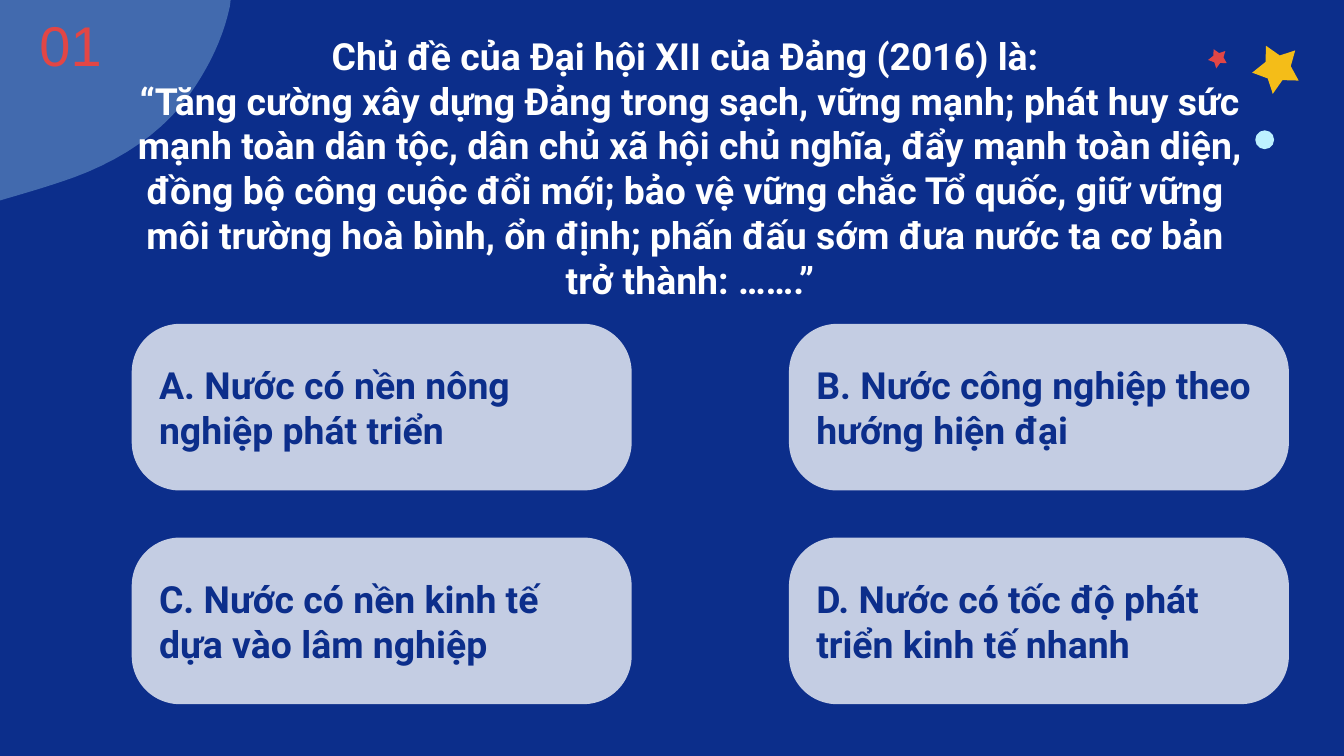
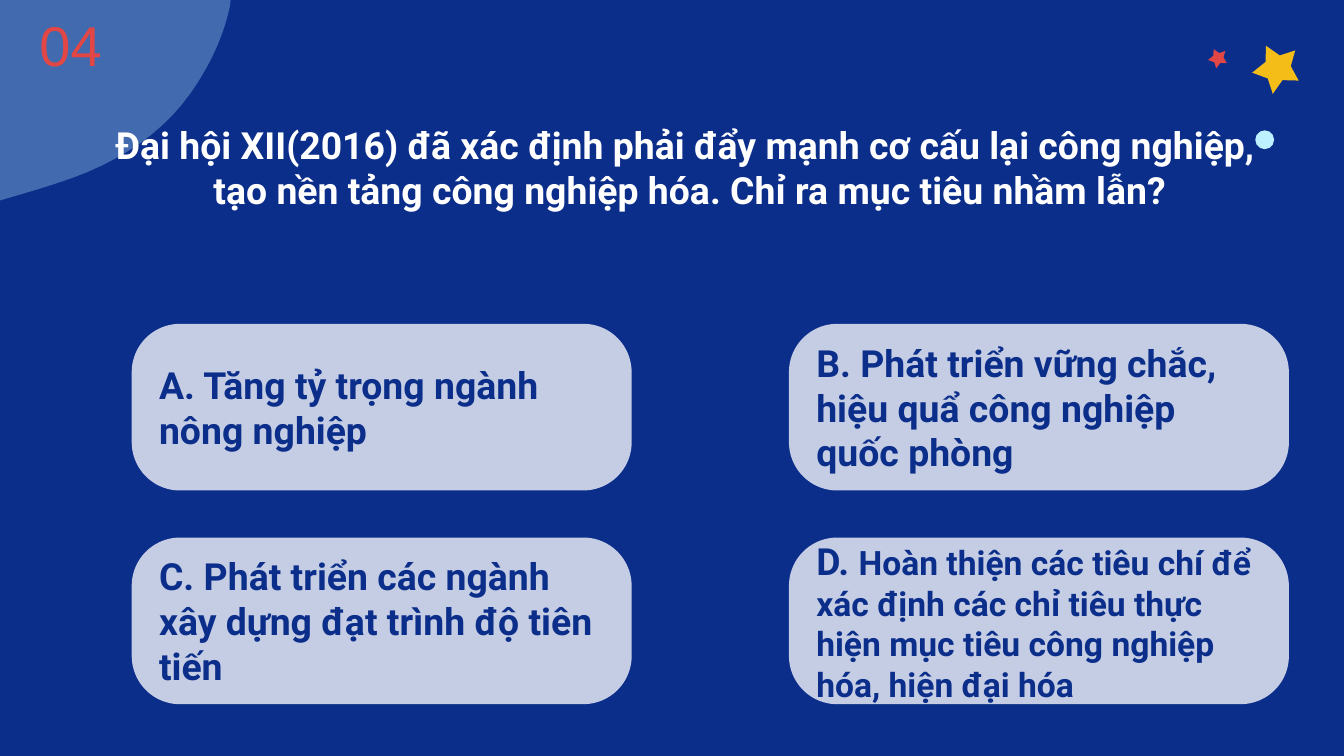
from dataclasses import dataclass

from lxml import etree
from pptx import Presentation
from pptx.dml.color import RGBColor
from pptx.enum.shapes import MSO_SHAPE
from pptx.enum.text import MSO_ANCHOR, MSO_AUTO_SIZE, PP_ALIGN
from pptx.oxml.ns import qn
from pptx.util import Inches, Pt

ROUNDED, OVAL = MSO_SHAPE.ROUNDED_RECTANGLE, MSO_SHAPE.OVAL
MIDDLE, NO_AUTOFIT = MSO_ANCHOR.MIDDLE, MSO_AUTO_SIZE.NONE
LEFT, CENTER = PP_ALIGN.LEFT, PP_ALIGN.CENTER

NAVY = RGBColor(0x0C, 0x2E, 0x8B)
WHITE = RGBColor(0xFF, 0xFF, 0xFF)
ICE = RGBColor(0xBD, 0xF1, 0xFF)
YELLOW = RGBColor(0xF4, 0xBD, 0x18)
RED = RGBColor(0xE2, 0x46, 0x45)

# Corner blob: a start point, then Bézier segments (two handles and an end)
BLOB_START = (1.73, -0.4)
BLOB_CURVES = [
    ((1.74, -0.25), (1.73, -0.1), (1.71, 0.05)),
    ((1.66, 0.28), (1.56, 0.49), (1.42, 0.69)),
    ((1.21, 0.99), (0.9, 1.19), (0.55, 1.32)),
    ((0.27, 1.42), (-0.01, 1.49), (-0.29, 1.58)),
]
BLOB_CORNER = (-0.29, -0.4)
CURVE_STEPS = 10

# Star outline, in inches from the top left of its box
STAR_POINTS = [
    (0, 0.17), (0.11, 0.12), (0.14, 0), (0.23, 0.09), (0.35, 0.08),
    (0.29, 0.19), (0.34, 0.3), (0.22, 0.28), (0.12, 0.35), (0.11, 0.23),
]
STAR_ROTATION = 276.4

# Answer grid
GRID_LEFT, GRID_TOP = 0.98, 2.41
COLUMN_PITCH, ROW_PITCH = 4.89, 1.59
ANSWER_WIDTH, ANSWER_HEIGHT = 3.72, 1.24


@dataclass
class Span:
    text: str
    size: int = 20


@dataclass
class Star:
    left: float
    top: float
    scale: float
    color: RGBColor


@dataclass
class Question:
    number: str
    lines: list[str]
    answers: list[list[Span]]


STARS = [Star(9.32, 0.35, 1, YELLOW), Star(8.99, 0.37, 0.4, RED)]

QUESTIONS = [
    Question(
        "01",
        [
            "Chủ đề của Đại hội XII của Đảng (2016) là: ",
            "“Tăng cường xây dựng Đảng trong sạch, vững mạnh; phát huy sức "
            "mạnh toàn dân tộc, dân chủ xã hội chủ nghĩa, đẩy mạnh toàn diện, "
            "đồng bộ công cuộc đổi mới; bảo vệ vững chắc Tổ quốc, giữ vững ",
            "môi trường hoà bình, ổn định; phấn đấu sớm đưa nước ta cơ bản ",
            "trở thành: …….”",
        ],
        [
            [Span("A. Nước có nền nông nghiệp phát triển")],
            [Span("B. Nước công nghiệp theo hướng hiện đại")],
            [Span("C. Nước có nền kinh tế dựa vào lâm nghiệp")],
            [Span("D. Nước có tốc độ phát triển kinh tế nhanh")],
        ],
    ),
    Question(
        "04",
        [
            "Đại hội XII(2016) đã xác định phải đẩy mạnh cơ cấu lại công nghiệp, ",
            "tạo nền tảng công nghiệp hóa. Chỉ ra mục tiêu nhầm lẫn?",
        ],
        [
            [Span("A. Tăng tỷ trọng ngành nông nghiệp")],
            [Span("B. Phát triển vững chắc, hiệu quẩ công nghiệp quốc phòng")],
            [Span("C. Phát triển các ngành xây dựng đạt trình độ tiên tiến")],
            [
                Span("D. "),
                Span("Hoàn thiện các tiêu chí để xác định các chỉ tiêu thực "
                     "hiện mục tiêu công nghiệp hóa, hiện đại hóa", 18),
            ],
        ],
    ),
]


def paint(shape, color: RGBColor, opacity: int = 100) -> None:
    """Give a shape a plain fill, without line or shadow."""
    shape.shadow.inherit = False
    shape.line.fill.background()
    shape.fill.solid()
    shape.fill.fore_color.rgb = color
    if opacity < 100:
        fill = shape._element.spPr.find(qn("a:solidFill"))
        alpha = etree.SubElement(fill[0], qn("a:alpha"))
        alpha.set("val", str(opacity * 1000))


def set_frame(shape) -> None:
    frame = shape.text_frame
    frame.word_wrap = True
    frame.auto_size = NO_AUTOFIT
    frame.vertical_anchor = MIDDLE
    frame.margin_left = frame.margin_right = Inches(0.1)
    frame.margin_top = frame.margin_bottom = Inches(0.1)


def set_font(para, name: str, size: int, color: RGBColor, bold: bool) -> None:
    para.font.name = name
    para.font.size = Pt(size)
    para.font.bold = bold
    para.font.color.rgb = color


def draw_outline(slide, points: list[tuple[float, float]], left: float = 0,
                 top: float = 0, scale: float = 1):
    outline = [(Inches(left + x * scale), Inches(top + y * scale))
               for x, y in points]
    builder = slide.shapes.build_freeform(*outline[0])
    builder.add_line_segments(outline[1:], close=True)
    return builder.convert_to_shape()


def blob_points() -> list[tuple[float, float]]:
    points = [BLOB_START]
    for first, second, end in BLOB_CURVES:
        start = points[-1]
        for step in range(1, CURVE_STEPS + 1):
            t = step / CURVE_STEPS
            u = 1 - t
            points.append(tuple(
                u**3 * a + 3 * u * u * t * b + 3 * u * t * t * c + t**3 * d
                for a, b, c, d in zip(start, first, second, end)
            ))
    return points + [BLOB_CORNER]


def decorate_layout(layout, slide) -> None:
    """Draw the shared decoration on a slide, then move it to the layout."""
    blob = draw_outline(slide, blob_points())
    paint(blob, ICE, 31)
    decorations = [blob]
    for star in STARS:
        shape = draw_outline(slide, STAR_POINTS, star.left, star.top, star.scale)
        shape.rotation = STAR_ROTATION
        paint(shape, star.color)
        decorations.append(shape)
    dot = slide.shapes.add_shape(OVAL, Inches(9.34), Inches(0.97),
                                 Inches(0.14), Inches(0.14))
    paint(dot, ICE)
    decorations.append(dot)
    for shape in decorations:
        layout.shapes._spTree.append(shape._element)


def add_title(slide, lines: list[str]) -> None:
    title = slide.shapes.title
    title.left, title.top = Inches(0.67), Inches(0.37)
    title.width, title.height = Inches(8.93), Inches(1.41)
    set_frame(title)
    title.text_frame.margin_top = Inches(0.44)
    para = title.text_frame.paragraphs[0]
    para.text = "\v".join(lines)
    para.alignment = CENTER
    set_font(para, "Roboto", 20, WHITE, True)


def add_number(slide, number: str) -> None:
    box = slide.shapes.add_textbox(Inches(0.07), Inches(0.12),
                                   Inches(0.91), Inches(0.42))
    set_frame(box)
    para = box.text_frame.paragraphs[0]
    para.text = number
    para.alignment = CENTER
    set_font(para, "Arial", 30, RED, False)


def add_answer(slide, index: int, spans: list[Span]) -> None:
    row, column = divmod(index, 2)
    box = slide.shapes.add_shape(
        ROUNDED,
        Inches(GRID_LEFT + column * COLUMN_PITCH),
        Inches(GRID_TOP + row * ROW_PITCH),
        Inches(ANSWER_WIDTH), Inches(ANSWER_HEIGHT),
    )
    box.adjustments[0] = 0.29
    paint(box, WHITE, 76)
    set_frame(box)
    para = box.text_frame.paragraphs[0]
    para.alignment = LEFT
    set_font(para, "Roboto", spans[0].size, NAVY, True)
    for span in spans:
        run = para.add_run()
        run.text = span.text
        if span.size != spans[0].size:
            run.font.size = Pt(span.size)


def main() -> None:
    deck = Presentation()
    deck.slide_width = Inches(10)
    deck.slide_height = deck.slide_width * 9 // 16
    layout = deck.slide_layouts.get_by_name("Title Only")
    layout.background.fill.solid()
    layout.background.fill.fore_color.rgb = NAVY

    for position, question in enumerate(QUESTIONS):
        slide = deck.slides.add_slide(layout)
        if position == 0:
            decorate_layout(layout, slide)
        add_title(slide, question.lines)
        add_number(slide, question.number)
        for index, spans in enumerate(question.answers):
            add_answer(slide, index, spans)

    deck.save("out.pptx")


if __name__ == "__main__":
    main()
